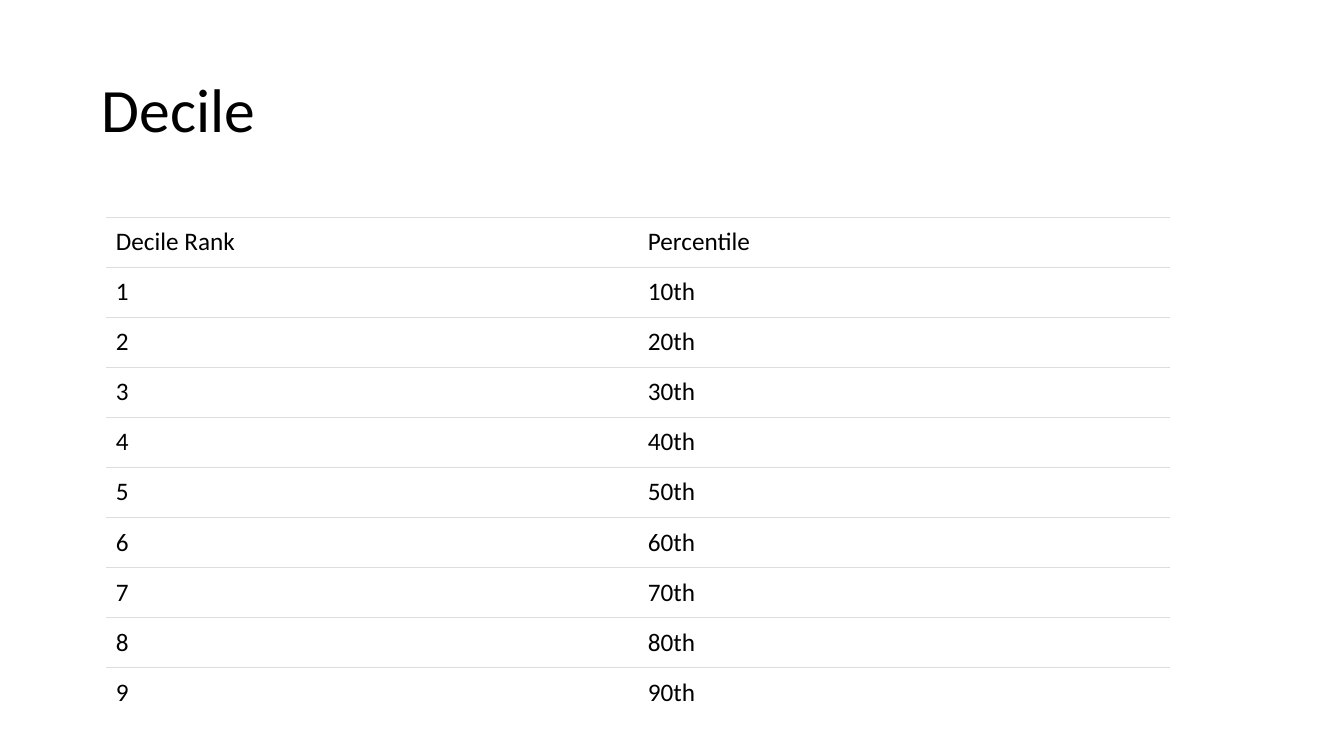
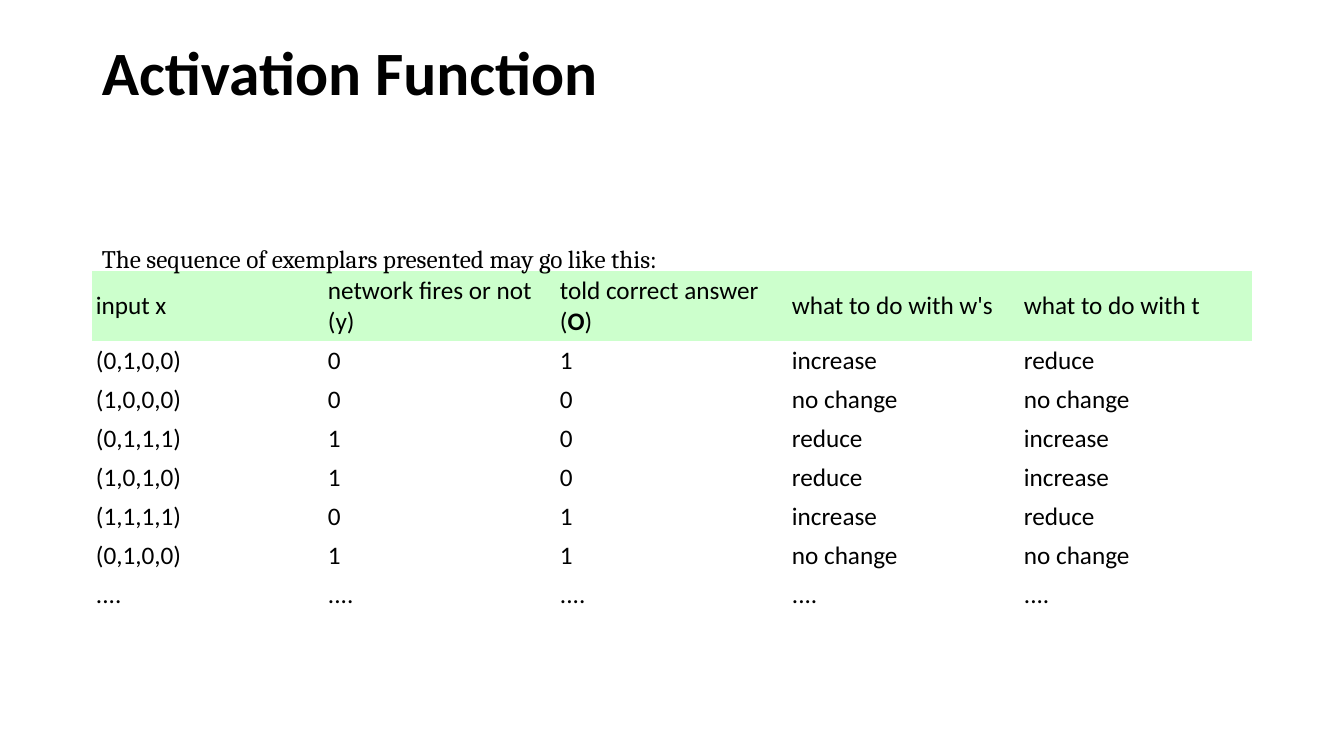
from dataclasses import dataclass
from typing import Optional

import pptx
import pptx.dml.color
import pptx.enum.text
import pptx.oxml
import pptx.oxml.ns
import pptx.util

Rgb = pptx.dml.color.RGBColor
Anchor = pptx.enum.text.MSO_ANCHOR

BLACK = Rgb(0x00, 0x00, 0x00)
WHITE = Rgb(0xFF, 0xFF, 0xFF)
GREY = Rgb(0xDD, 0xDD, 0xDD)
MINT = Rgb(0xCC, 0xFF, 0xCC)
SANS, SERIF = "Calibri", "Cambria"
BODY, HEAD = 18, 44
LEFT, WIDE, TALL = 92, 1160, 146
PLAIN = "{2D5ABB26-0587-4C30-8999-92F81FD0307C}"


def px(size: float) -> int:
    return round(size * 914400 / 100.8)


@dataclass
class Grid:
    left: int
    top: int
    width: int
    first: int  # height of the header row
    rest: int  # height of all other rows together
    insets: tuple[int, int, int, int]  # left, top, right, bottom
    rows: list[list[str]]
    head: Optional[Rgb] = None
    fill: Optional[Rgb] = None
    rule: Optional[Rgb] = None


def style(para, size: int, face: str = SANS, bold: bool = False) -> None:
    for run in para.runs:
        font = run.font
        font.size = pptx.util.Pt(size)
        font.name = face
        font.bold = bold or bool(font.bold)
        font.color.rgb = BLACK


def write(para, text: str) -> None:
    """Set text in which *stars* mark bold words."""
    parts = text.split("*")
    para.text = parts[0]
    for spot, part in enumerate(parts[1:], 1):
        run = para.add_run()
        run.text = part
        run.font.bold = spot % 2 == 1


def label(slide, text: str, top: int, height: int, size: int,
          face: str = SANS, bold: bool = False, line: float = 1.0) -> None:
    box = slide.shapes.add_textbox(px(LEFT), px(top), px(WIDE), px(height))
    frame = box.text_frame
    frame.word_wrap = True
    frame.margin_top = frame.margin_bottom = 0
    frame.vertical_anchor = Anchor.MIDDLE
    frame.text = text
    para = frame.paragraphs[0]
    para.line_spacing = line
    style(para, size, face, bold)


def title(slide, text: str, top: int, bold: bool = False) -> None:
    label(slide, text, top, TALL, HEAD, bold=bold, line=0.9)


def edge(cell, sides: list[str], color: Rgb) -> None:
    """Draw thin border lines, which must come before the fill."""
    props = cell._tc.get_or_add_tcPr()
    for spot, side in enumerate(sides):
        props.insert(spot, pptx.oxml.parse_xml(
            f'<a:{side} {pptx.oxml.ns.nsdecls("a")} w="7620"><a:solidFill>'
            f'<a:srgbClr val="{color}"/></a:solidFill></a:{side}>'))


def paint(cell, color: Optional[Rgb]) -> None:
    if color is None:
        cell.fill.background()
    else:
        cell.fill.solid()
        cell.fill.fore_color.rgb = color


def draw(slide, grid: Grid) -> None:
    count, span = len(grid.rows), len(grid.rows[0])
    table = slide.shapes.add_table(
        count, span, px(grid.left), px(grid.top),
        px(grid.width), px(grid.first + grid.rest)).table
    table.first_row = table.horz_banding = False
    table._tbl.tblPr.find(pptx.oxml.ns.qn("a:tableStyleId")).text = PLAIN
    for col in table.columns:
        col.width = px(grid.width / span)
    for r, texts in enumerate(grid.rows):
        high = grid.rest / (count - 1) if r else grid.first
        table.rows[r].height = px(high)
        for c, text in enumerate(texts):
            cell = table.cell(r, c)
            (cell.margin_left, cell.margin_top, cell.margin_right,
             cell.margin_bottom) = map(px, grid.insets)
            cell.vertical_anchor = Anchor.MIDDLE
            para = cell.text_frame.paragraphs[0]
            write(para, text)
            style(para, BODY)
            paint(cell, grid.fill if r else grid.head)
            if grid.rule is not None:
                last = r == count - 1
                edge(cell, ["lnT"] if last else ["lnT", "lnB"], grid.rule)


RANKS = Grid(
    106, 217, 1064, 50, 451, (10, 5, 8, 5),
    [["Decile Rank", "Percentile"]]
    + [[str(n), f"{n}0th"] for n in range(1, 10)],
    head=WHITE, fill=WHITE, rule=GREY)

STEPS = Grid(
    LEFT, 271, WIDE, 70, 274, (4, 4, 4, 4),
    [["input x", "network fires or not (y)", "told correct answer (*O*)",
      "what to do with w's", "what to do with t"],
     ["(0,1,0,0)", "0", "1", "increase", "reduce"],
     ["(1,0,0,0)", "0", "0", "no change", "no change"],
     ["(0,1,1,1)", "1", "0", "reduce", "increase"],
     ["(1,0,1,0)", "1", "0", "reduce", "increase"],
     ["(1,1,1,1)", "0", "1", "increase", "reduce"],
     ["(0,1,0,0)", "1", "1", "no change", "no change"],
     ["...."] * 5],
    head=MINT)


def main() -> None:
    deck = pptx.Presentation()
    deck.slide_width, deck.slide_height = px(1344), px(756)
    blank = deck.slide_layouts[6]

    decile = deck.slides.add_slide(blank)
    title(decile, "Decile", 40)
    draw(decile, RANKS)

    active = deck.slides.add_slide(blank)
    title(active, "Activation Function", 3, bold=True)
    draw(active, STEPS)
    label(active, "The sequence of exemplars presented may go like this:",
          243, 30, BODY, SERIF)

    deck.save("out.pptx")


if __name__ == "__main__":
    main()
